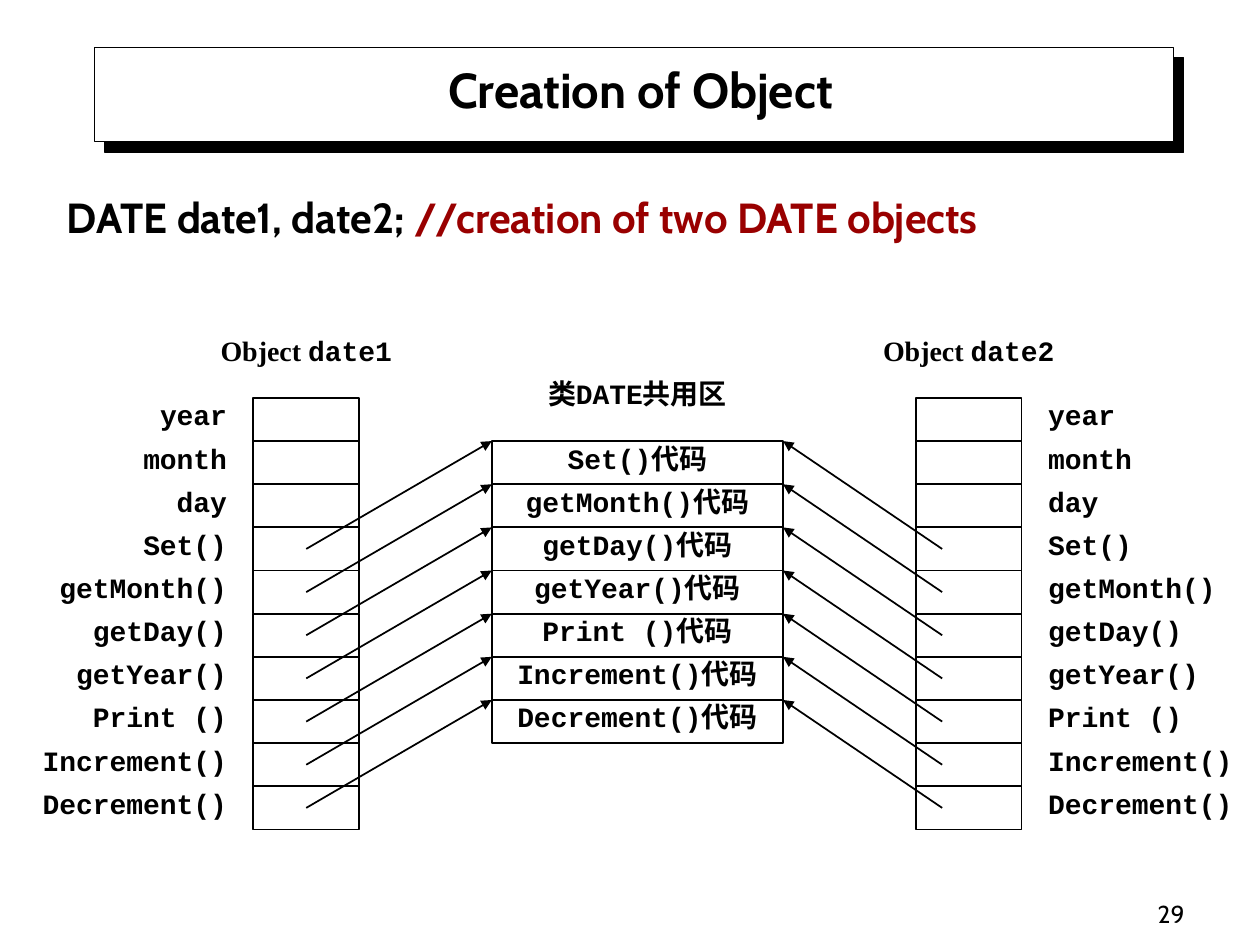
import pptx
import pptx.util
import pptx.dml.color
import pptx.enum.shapes
import pptx.enum.text
import pptx.oxml
import pptx.oxml.ns

Pt = pptx.util.Pt
ALIGN = pptx.enum.text.PP_ALIGN
ANCHOR = pptx.enum.text.MSO_ANCHOR
SHAPE = pptx.enum.shapes.MSO_SHAPE
LINE = pptx.enum.shapes.MSO_CONNECTOR
NS = pptx.oxml.ns.nsdecls("a")

BLACK, WHITE, RED = "000000", "FFFFFF", "990000"
HEAD, CODE, SERIF = "Cabin", "Courier New", "Times New Roman"


def color(code):
    return pptx.dml.color.RGBColor.from_string(code)


def put(target, values):
    for name, value in values.items():
        setattr(target, name, value)


class Deck:
    """Holds the style and the current slide."""

    mono = {"name": CODE, "size": Pt(16), "bold": True}
    serif = {**mono, "name": SERIF}
    title = {"name": HEAD, "size": Pt(28), "bold": True}
    body = {**title, "size": Pt(24)}
    number = {"name": HEAD, "size": Pt(14), "bold": False}

    def __init__(self, file):
        self.slide = file.slides.add_slide(file.slide_layouts[6])
        self.shapes = self.slide.shapes

    def label(self, shape, runs, align, anchor=ANCHOR.TOP, pad=(0, 0)):
        """Each run is (text, font values) or (text, font values, colour)."""
        side, edge = map(Pt, pad)
        frame = shape.text_frame
        put(frame, {"word_wrap": True, "vertical_anchor": anchor,
                    "margin_left": side, "margin_right": side,
                    "margin_top": edge, "margin_bottom": edge})
        para = frame.paragraphs[0]
        para.alignment = align
        for text, font, *tint in runs:
            run = para.add_run()
            run.text = text
            put(run.font, font)
            run.font.color.rgb = color(tint[0] if tint else BLACK)

    def text(self, box, runs, align, **style):
        self.label(self.shapes.add_textbox(*map(Pt, box)), runs, align, **style)

    def rect(self, box, fill=None, width=1):
        shape = self.shapes.add_shape(SHAPE.RECTANGLE, *map(Pt, box))
        shape.shadow.inherit = False
        if fill:
            shape.fill.solid()
            shape.fill.fore_color.rgb = color(fill)
        else:
            shape.fill.background()
        shape.line.color.rgb = color(BLACK)
        shape.line.width = Pt(width)
        return shape

    def shade(self, shape):
        """Hard black shadow, 8.5 pt to the lower right."""
        effects = shape._element.spPr.find(pptx.oxml.ns.qn("a:effectLst"))
        effects.append(pptx.oxml.parse_xml(
            f'<a:outerShdw {NS} dist="{Pt(8.5)}" dir="2700000" algn="ctr" '
            f'rotWithShape="0"><a:srgbClr val="{BLACK}"/></a:outerShdw>'))

    def arrow(self, start, end):
        link = self.shapes.add_connector(LINE.STRAIGHT, *map(Pt, start + end))
        link.line.color.rgb = color(BLACK)
        link.line.width = Pt(1)
        link.line._get_or_add_ln().append(
            pptx.oxml.parse_xml(f'<a:tailEnd {NS} type="triangle"/>'))
        link._element.spPr.append(pptx.oxml.parse_xml(f"<a:effectLst {NS}/>"))


def main():
    file = pptx.Presentation()
    put(file, {"slide_width": Pt(720), "slide_height": Pt(540)})
    deck = Deck(file)

    # Title and statement
    deck.shade(deck.rect((54, 27, 616.5, 54), WHITE, 0.75))
    deck.text((60, 31.5, 612, 39.6), [("Creation of Object", deck.title)],
              ALIGN.CENTER, anchor=ANCHOR.BOTTOM, pad=(7.2, 3.6))
    deck.text((31, 106, 641, 45),
              [("DATE date1, date2; ", deck.body),
               ("//creation of two DATE objects", deck.body, RED)],
              ALIGN.LEFT, pad=(7.2, 3.6))

    # Rows shared by the objects and the class area
    fields = ["year", "month", "day"]
    calls = ["Set()", "getMonth()", "getDay()", "getYear()", "Print ()",
             "Increment()", "Decrement()"]
    top, row = 227.4, 24.66
    mid, wide = 281, 166.5

    # Objects: name, cell left, label left, label width, label alignment
    objects = [("date1", 144.75, 8.7, 121, ALIGN.RIGHT),
               ("date2", 523.3, 599, 106, ALIGN.JUSTIFY)]
    for name, cell, left, width, align in objects:
        deck.text((cell - 30.25, 190.8, 121, row),
                  [("Object ", deck.serif), (name, deck.mono)], ALIGN.CENTER)
        for i, member in enumerate(fields + calls):
            y = top + i * row
            deck.rect((cell, y, 60.5, row))
            deck.text((left, y, width, row), [(member, deck.mono)], align)

    # Code area of the class
    deck.text((mid, 215.4, wide, row),
              [("类", deck.serif), ("DATE共用区", deck.mono)], ALIGN.CENTER)
    for i, call in enumerate(calls):
        y = top + (i + 1) * row
        cell = deck.rect((mid, y, wide, row))
        deck.label(cell, [(call + "代码", deck.mono)], ALIGN.CENTER)

    # Arrows from each object's calls to the shared code
    for start, end in [(175, mid), (538.4, mid + wide)]:
        for i in range(len(calls)):
            deck.arrow((start, top + (i + len(fields) + 0.5) * row),
                       (end, top + (i + 1) * row))

    # Slide number
    deck.text((534, 498, 150, 36), [("29", deck.number)], ALIGN.RIGHT,
              anchor=ANCHOR.BOTTOM, pad=(7.2, 3.6))

    file.save("out.pptx")


if __name__ == "__main__":
    main()
